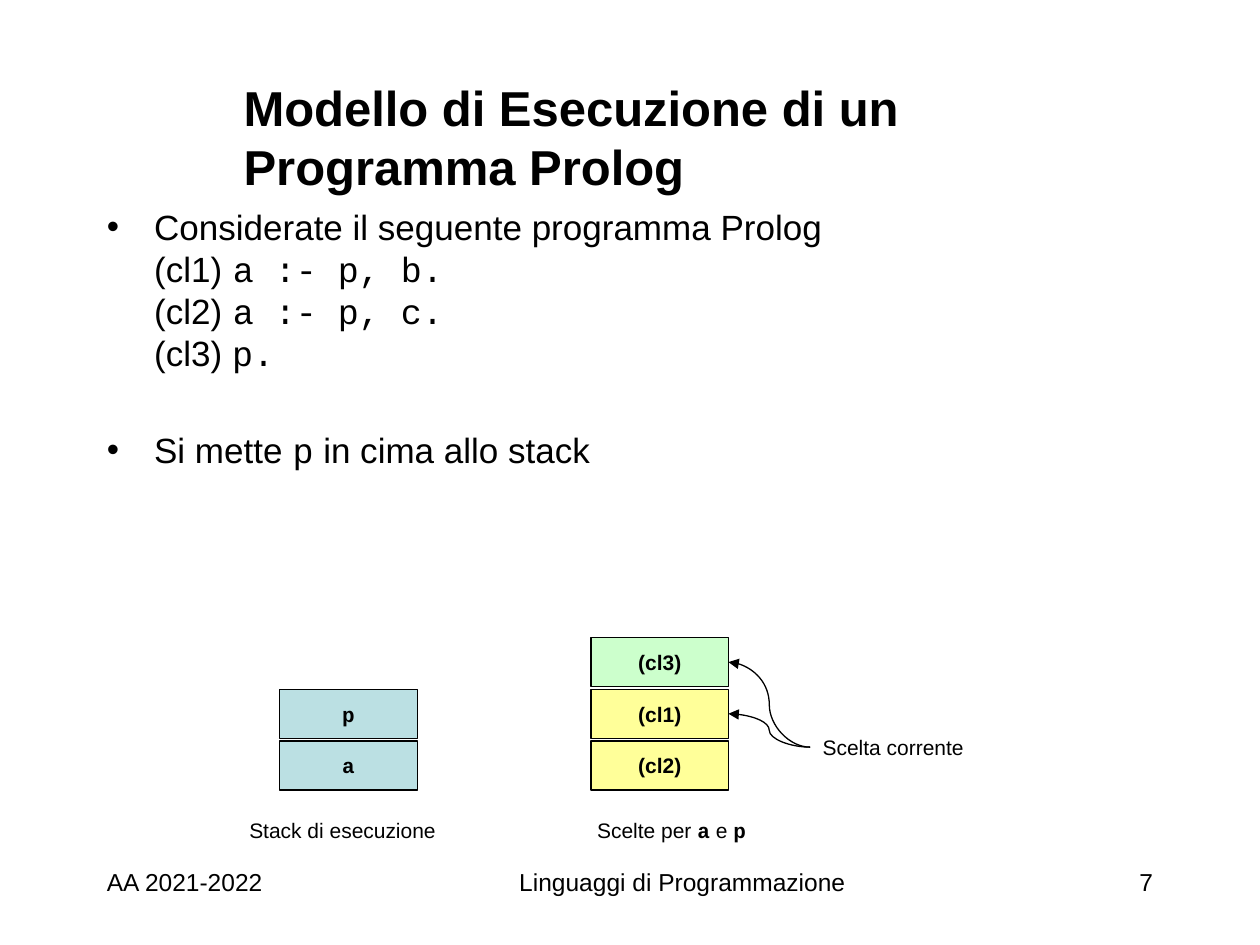
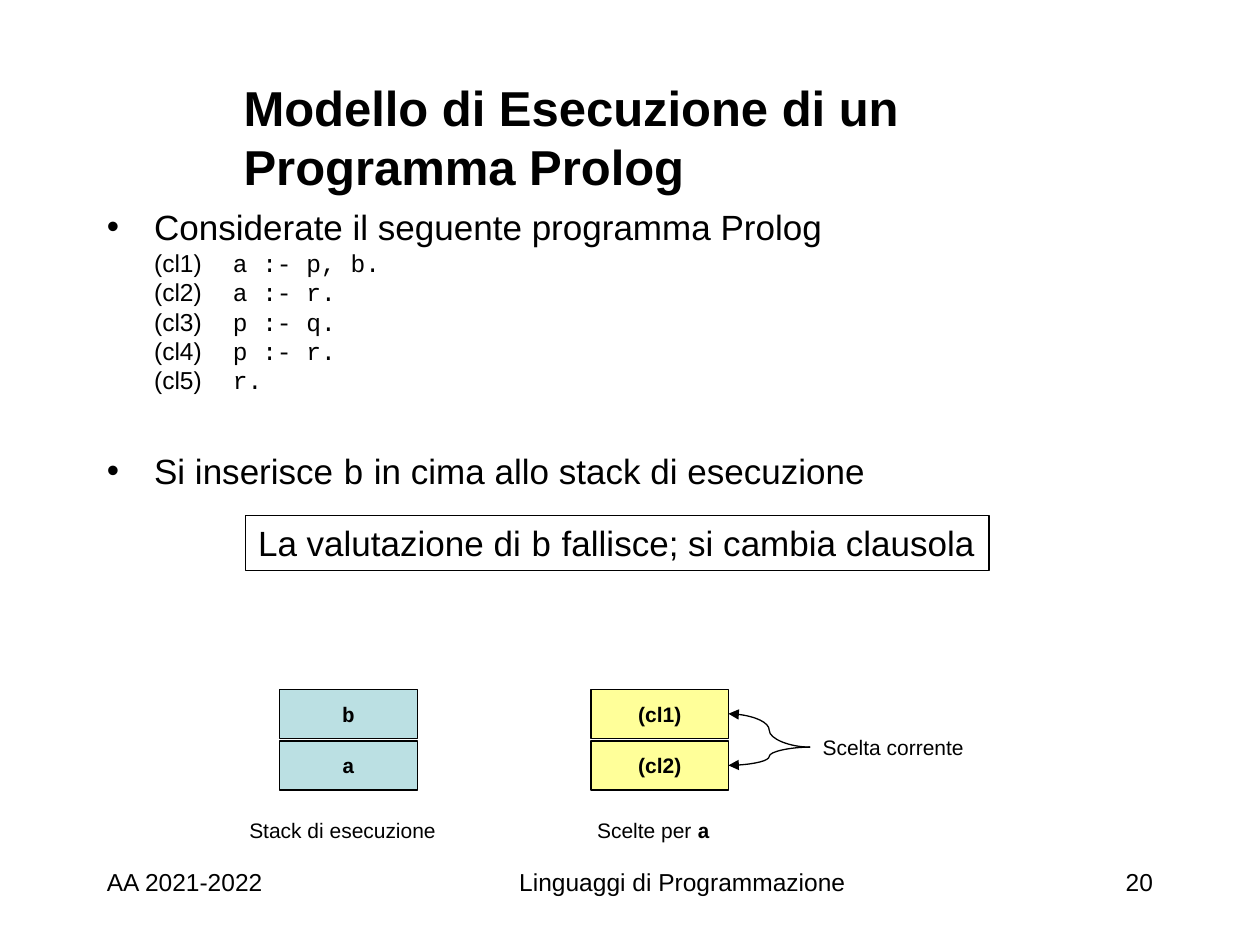
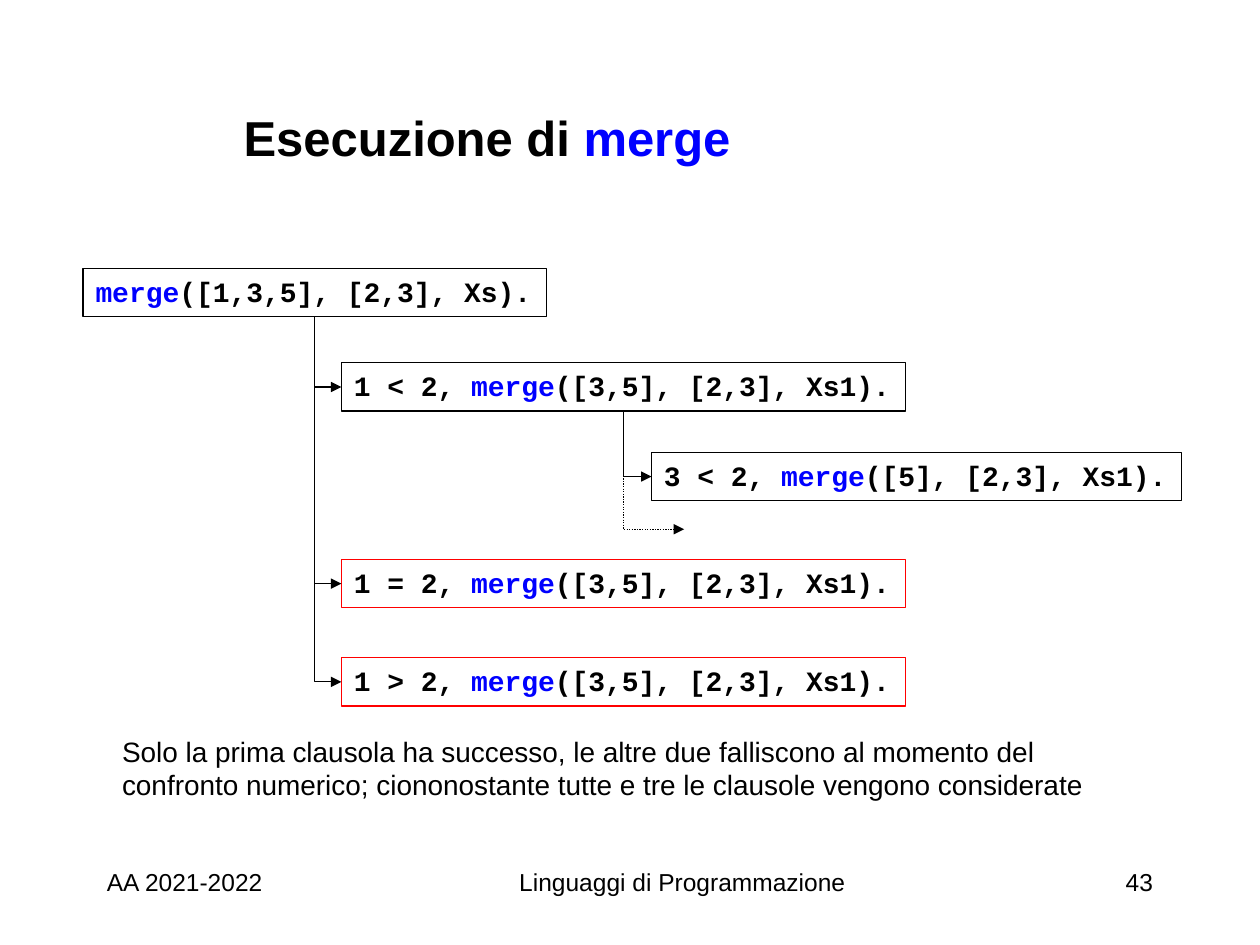
from copy import deepcopy
from dataclasses import dataclass, replace

from lxml.etree import SubElement
from pptx import Presentation
from pptx.dml.color import RGBColor
from pptx.enum.dml import MSO_LINE
from pptx.enum.shapes import MSO_CONNECTOR as Connector, MSO_SHAPE as Shape
from pptx.enum.text import MSO_ANCHOR as Anchor, MSO_AUTO_SIZE as AutoSize, PP_ALIGN as Align
from pptx.oxml.ns import qn
from pptx.util import Inches, Pt


@dataclass(frozen=True)
class Style:
    """Look of one run of text."""
    size: int
    font: str = "Arial"
    bold: bool = False
    color: str = "000000"


@dataclass(frozen=True)
class Theme:
    """Colours and type styles of the whole presentation."""
    ink: str = "000000"
    keyword: str = "0000FF"
    failure: str = "FF0000"
    stack: str = "BBE0E3"
    choice: str = "FFFF99"
    new_choice: str = "CCFFCC"
    mono: str = "Courier New"
    title: Style = Style(28, bold=True)
    body: Style = Style(20)
    note: Style = Style(16)
    footer: Style = Style(14)
    label: Style = Style(12)


theme = Theme()
title_keyword = replace(theme.title, color=theme.keyword)
body_code = replace(theme.body, font=theme.mono)
label_bold = replace(theme.label, bold=True)
label_code = replace(label_bold, font=theme.mono)
goal_code = replace(theme.note, font=theme.mono, bold=True)
goal_keyword = replace(goal_code, color=theme.keyword)

presentation = Presentation()
presentation.slide_width, presentation.slide_height = Inches(10), Inches(7.5)
COLUMN = presentation.slide_width / 120
ROW = presentation.slide_height / 90
TITLE_ONLY = presentation.slide_layouts[5]
LEFT, TOP, RIGHT_SIDE, BOTTOM = 1, 0, 3, 2  # connection sites are numbered anticlockwise


def add_box(slide, at, paragraphs, shape=None, fill=None, line=None,
            align=Align.LEFT, anchor=Anchor.TOP, wrap=True, grow=False):
    """Place a text box, rectangle or given placeholder on the grid and write its runs."""
    left, top, width, height = at
    frame_at = [int(n) for n in (left * COLUMN, top * ROW, width * COLUMN, height * ROW)]
    if shape is not None:
        shape.left, shape.top, shape.width, shape.height = frame_at
    elif line:
        shape = slide.shapes.add_shape(Shape.RECTANGLE, *frame_at)
        shape.shadow.inherit = False
        shape.line.color.rgb, shape.line.width = RGBColor.from_string(line), Pt(0.75)
        if fill:
            shape.fill.solid()
            shape.fill.fore_color.rgb = RGBColor.from_string(fill)
        else:
            shape.fill.background()
    else:
        shape = slide.shapes.add_textbox(*frame_at)
    frame = shape.text_frame
    frame.word_wrap, frame.vertical_anchor = wrap, anchor
    frame.auto_size = AutoSize.SHAPE_TO_FIT_TEXT if grow else AutoSize.NONE
    for number, runs in enumerate(paragraphs):
        paragraph = frame.add_paragraph() if number else frame.paragraphs[0]
        paragraph.alignment = align
        for text, style in runs:
            for part, piece in enumerate(text.split("\n")):
                if part:
                    paragraph.add_line_break()
                    paragraph._p[-1].append(deepcopy(run._r.rPr))
                if piece:
                    run = paragraph.add_run()
                    run.text = piece
                    run.font.name, run.font.size = style.font, Pt(style.size)
                    run.font.bold = style.bold
                    run.font.color.rgb = RGBColor.from_string(style.color)
    return shape


def add_arrow(slide, kind, source, source_site, target=None, target_site=LEFT, end=None, dash=None):
    """Link two shapes, or a shape and a free end, with a curved or elbow arrow."""
    arrow = slide.shapes.add_connector(kind, 0, 0, 0, 0)
    arrow.begin_connect(source, source_site)
    if target is not None:
        arrow.end_connect(target, target_site)
    else:
        arrow.end_x, arrow.end_y = int(end[0] * COLUMN), int(end[1] * ROW)
    arrow.line.color.rgb, arrow.line.width = RGBColor.from_string(theme.ink), Pt(0.75)
    if dash:
        arrow.line.dash_style = dash
    properties = arrow._element.spPr
    SubElement(arrow.line._get_or_add_ln(), qn("a:tailEnd"), type="triangle")
    SubElement(properties, qn("a:effectLst"))
    if kind == Connector.ELBOW:
        # A single bend, down and then right: a turned and mirrored two-part elbow.
        across, down = arrow.width, arrow.height
        arrow.left += (across - down) // 2
        arrow.top += (down - across) // 2
        arrow.width, arrow.height = down, across
        properties.find(qn("a:prstGeom")).set("prst", "bentConnector2")
        frame = properties.find(qn("a:xfrm"))
        frame.set("rot", "16200000")
        frame.set("flipH", "1")


# Titles and footers
execution_title = [("Modello di Esecuzione di un Programma Prolog", theme.title)]
merge_title = [("Esecuzione di ", theme.title), ("merge", title_keyword)]
slides = []
for title_runs, page in ((execution_title, "7"), (execution_title, "20"), (merge_title, "43")):
    slide = presentation.slides.add_slide(TITLE_ONLY)
    add_box(slide, (22, 8, 89, 10), [title_runs], shape=slide.shapes.title, anchor=Anchor.MIDDLE)
    for left, width, text, align in ((9, 30, "AA 2021-2022", Align.LEFT),
                                     (38, 54, "Linguaggi di Programmazione", Align.CENTER),
                                     (87, 24, page, Align.RIGHT)):
        add_box(slide, (left, 82, width, 6), [[(text, theme.footer)]], align=align)
    slides.append(slide)

# Execution model: program, stack and choices
BASE_ROW, ROW_STEP, CELL_WIDTH, CELL_HEIGHT = 70.56, 4.92, 13.1, 4.68
yellow, green = theme.choice, theme.new_choice
execution_steps = (
    dict(clauses=(("(cl1)\t", "a :- p, b."), ("(cl2)\t", "a :- p, c."), ("(cl3) ", "p.")),
         size=20, body_height=41, action=("Si mette ", "p", " in cima allo stack"),
         stack="ap", choices=(("(cl2)", yellow), ("(cl1)", yellow), ("(cl3)", green)),
         current=(2, 1), caption_width=17.4,
         caption=[("a", label_code), (" e ", theme.label), ("p", label_code)]),
    dict(clauses=(("(cl1)\t", "a :- p, b."), ("(cl2)\t", "a :- r."), ("(cl3)\t", "p :- q."),
                  ("(cl4)\t", "p :- r."), ("(cl5)\t", "r.")),
         size=14, body_height=32.76,
         action=("Si inserisce ", "b", " in cima allo stack di esecuzione"),
         stack="ab", choices=(("(cl2)", yellow), ("(cl1)", yellow)),
         current=(1, 0), caption_width=14.28, caption=[("a", label_code)]),
)
for slide, step in zip(slides, execution_steps):
    program = [("Considerate il seguente programma Prolog", theme.body)]
    for name, clause in step["clauses"]:
        program += [("\n" + name, replace(theme.body, size=step["size"])),
                    (clause, replace(body_code, size=step["size"]))]
    action = list(zip(step["action"], (theme.body, body_code, theme.body)))
    body = add_box(slide, (9, 19, 102, step["body_height"]), [program, action])
    for paragraph, gap in zip(body.text_frame.paragraphs, (4, 31)):
        paragraph.space_before = Pt(gap)
        properties = paragraph._p.get_or_add_pPr()
        for name, inches in (("marL", 0.375), ("indent", -0.375), ("defTabSz", 1)):
            properties.set(name, str(Inches(inches)))
        SubElement(properties, qn("a:buFont"), typeface="Arial")
        SubElement(properties, qn("a:buChar"), char="•")

    stack_cells = [(text, theme.stack) for text in step["stack"]]
    for left, cells, style in ((26.64, stack_cells, label_code),
                               (56.28, step["choices"], label_bold)):
        column = [add_box(slide, (left, BASE_ROW - level * ROW_STEP, CELL_WIDTH, CELL_HEIGHT),
                          [[(text, style)]], fill=fill, line=theme.ink, align=Align.CENTER,
                          anchor=Anchor.MIDDLE, wrap=False)
                  for level, (text, fill) in enumerate(cells)]
    add_box(slide, (22.56, 77.28, 21.48, 3.6), [[("Stack di esecuzione", theme.label)]], grow=True)
    add_box(slide, (55.68, 77.28, step["caption_width"], 3.6),
            [[("Scelte per ", theme.label)] + step["caption"]], grow=True)
    pointer = add_box(slide, (77.16, 69.36, 21.36, 3.6),
                      [[("Scelta corrente", theme.label)]], grow=True)
    for level in step["current"]:
        add_arrow(slide, Connector.CURVE, pointer, LEFT, column[level], RIGHT_SIDE)

add_box(slides[1], (23.4, 49.08, 70.8, 5.28),
        [[("La valutazione di ", theme.body), ("b", body_code),
          (" fallisce; si cambia clausola", theme.body)]], line=theme.ink, grow=True)

# Execution of merge: tree of goals, each linked to its parent
slide = slides[2]
CHARACTER, PADDING, GOAL_HEIGHT = 1.6, 2.5, 4.6
goals = {}
for left, top, test, arguments, parent, outline in (
        (7.92, 25.56, "", "([1,3,5], [2,3], Xs).", None, theme.ink),
        (32.52, 34.56, "1 < 2, ", "([3,5], [2,3], Xs1).", "", theme.ink),
        (32.52, 53.28, "1 = 2, ", "([3,5], [2,3], Xs1).", "", theme.failure),
        (32.52, 62.64, "1 > 2, ", "([3,5], [2,3], Xs1).", "", theme.failure),
        (62.04, 43.08, "3 < 2, ", "([5], [2,3], Xs1).", "1 < 2, ", theme.ink)):
    width = len(test + "merge" + arguments) * CHARACTER + PADDING
    goals[test] = add_box(slide, (left, top, width, GOAL_HEIGHT),
                          [[(test, goal_code), ("merge", goal_keyword), (arguments, goal_code)]],
                          line=outline, wrap=False, grow=True)
    if parent is not None:
        add_arrow(slide, Connector.ELBOW, goals[parent], BOTTOM, goals[test])
add_arrow(slide, Connector.ELBOW, goals["1 < 2, "], BOTTOM, end=(65.16, 50.4),
          dash=MSO_LINE.ROUND_DOT)
add_box(slide, (10.44, 69.36, 94.2, 7.68),
        [[("Solo la prima clausola ha successo, le altre due falliscono al momento del\n"
           "confronto numerico; ciononostante tutte e tre le clausole vengono considerate",
           theme.note)]], wrap=False, grow=True)

presentation.save("out.pptx")
